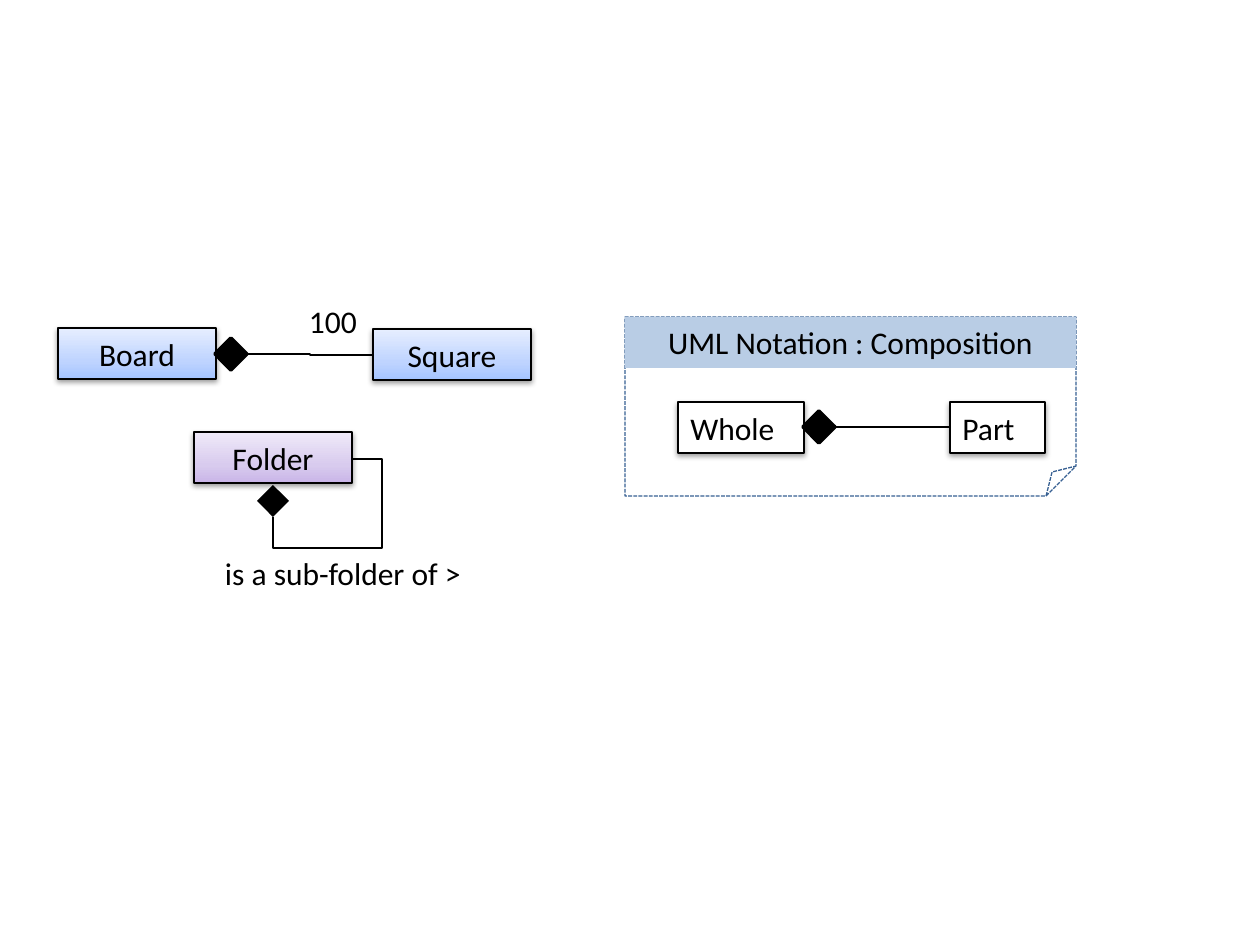
from copy import deepcopy

from lxml.etree import SubElement
from pptx import Presentation
from pptx.dml.color import RGBColor
from pptx.enum.dml import MSO_LINE
from pptx.enum.shapes import MSO_CONNECTOR as CONNECTOR, MSO_SHAPE as SHAPE
from pptx.enum.text import MSO_ANCHOR as ANCHOR, MSO_AUTO_SIZE as AUTO_SIZE, PP_ALIGN as ALIGN
from pptx.oxml.ns import qn
from pptx.util import Emu, Pt

SCALE = 914400 // 126
BLUE = ("A4C4FF", "BFD4FF", "E6EEFF")
PURPLE = ("C9B5E8", "D8CBEE", "F0EAF9")


def px(length):
    return Emu(length * SCALE)


def color(value):
    return RGBColor.from_string(value)


class ClassDiagram:
    """Draws UML class diagram elements on one slide in a shared style."""

    font = {"name": "Calibri", "size": Pt(18)}
    ink = "000000"

    def __init__(self, slide):
        self.slide = slide

    def set_text(self, shape, text, align=ALIGN.LEFT, anchor=ANCHOR.TOP, **margins):
        frame = shape.text_frame
        settings = {"word_wrap": True, "auto_size": AUTO_SIZE.SHAPE_TO_FIT_TEXT,
                    "vertical_anchor": anchor, **margins}
        for name, value in settings.items():
            setattr(frame, name, value)
        paragraph = frame.paragraphs[0]
        paragraph.text = text
        paragraph.alignment = align
        font = paragraph.runs[0].font
        for name, value in self.font.items():
            setattr(font, name, value)
        font.color.rgb = color(self.ink)

    def outline(self, line, value, width):
        line.color.rgb = color(value)
        line.width = Pt(width)

    def shape(self, kind, box, fill=None, line=None, width=0.75):
        shape = self.slide.shapes.add_shape(kind, *map(px, box))
        shape.shadow.inherit = False
        if fill:
            shape.fill.solid()
            shape.fill.fore_color.rgb = color(fill)
        else:
            shape.fill.background()
        if line:
            self.outline(shape.line, line, width)
        else:
            shape.line.fill.background()
        return shape

    def gradient(self, shape, colors):
        shape.fill.gradient()
        shape.fill.gradient_angle = 90
        stop_list = shape._element.spPr.find(".//" + qn("a:gsLst"))
        stop_list.append(deepcopy(stop_list[0]))
        for stop, value, position in zip(shape.fill.gradient_stops, colors, (0, 0.35, 1)):
            stop.color.rgb = color(value)
            stop.position = position

    def cast_shadow(self, shape):
        effects = shape._element.spPr.find(qn("a:effectLst"))
        shadow = SubElement(effects, qn("a:outerShdw"), blurRad="40000", dist="20000",
                            dir="5400000", rotWithShape="0")
        tint = SubElement(shadow, qn("a:srgbClr"), val=self.ink)
        SubElement(tint, qn("a:alpha"), val="38000")

    def class_box(self, text, box, colors=None):
        shape = self.shape(SHAPE.RECTANGLE, box, "FFFFFF", self.ink)
        if colors:
            self.gradient(shape, colors)
        self.cast_shadow(shape)
        self.set_text(shape, text, ALIGN.CENTER if colors else ALIGN.LEFT, ANCHOR.MIDDLE)

    def diamond(self, left, top, line=ink):
        self.shape(SHAPE.FLOWCHART_DECISION, (left, top, 32, 32), self.ink, line, 2)

    def connector(self, *ends):
        connector = self.slide.shapes.add_connector(CONNECTOR.ELBOW, *map(px, ends))
        self.outline(connector.line, self.ink, 0.75)
        SubElement(connector._element.spPr, qn("a:effectLst"))
        return connector

    def self_link(self, *ends):
        properties = self.connector(*ends)._element.spPr
        properties.find(qn("a:xfrm")).set("rot", "5400000")
        geometry = properties.find(qn("a:prstGeom"))
        geometry.set("prst", "bentConnector4")
        for name, value in (("adj1", -53800), ("adj2", 140000)):
            SubElement(geometry.find(qn("a:avLst")), qn("a:gd"), name=name, fmla=f"val {value}")

    def label(self, text, box):
        shape = self.slide.shapes.add_textbox(*map(px, box))
        self.set_text(shape, text, margin_left=px(62), margin_right=0)

    def note(self, title, box, header_height):
        left, top, width, _ = box
        border = self.shape(SHAPE.FOLDED_CORNER, box, line="376092")
        border.line.dash_style = MSO_LINE.SQUARE_DOT
        header = self.shape(SHAPE.RECTANGLE, (left, top, width, header_height), "B9CDE5")
        self.set_text(header, title, ALIGN.CENTER)


def main():
    presentation = Presentation()
    presentation.slide_width, presentation.slide_height = px(1260), px(945)
    diagram = ClassDiagram(presentation.slides.add_slide(presentation.slide_layouts[6]))

    diagram.class_box("Whole", (678, 402, 126, 51))
    diagram.note("UML Notation : Composition", (625, 317, 451, 179), 51)
    diagram.class_box("Part", (950, 402, 95, 51))
    diagram.connector(835, 427, 950, 427)
    diagram.diamond(803, 411)

    diagram.class_box("Board", (58, 328, 158, 51), BLUE)
    diagram.class_box("Square", (373, 329, 158, 51), BLUE)
    diagram.connector(247, 354, 373, 355)
    diagram.label("100", (247, 296, 126, 51))
    diagram.diamond(215, 338)

    diagram.class_box("Folder", (194, 432, 158, 51), PURPLE)
    diagram.self_link(341, 527, 283, 449)
    diagram.diamond(257, 485, None)
    diagram.label("is a sub-folder of >", (163, 548, 315, 51))

    presentation.save("out.pptx")


if __name__ == "__main__":
    main()
